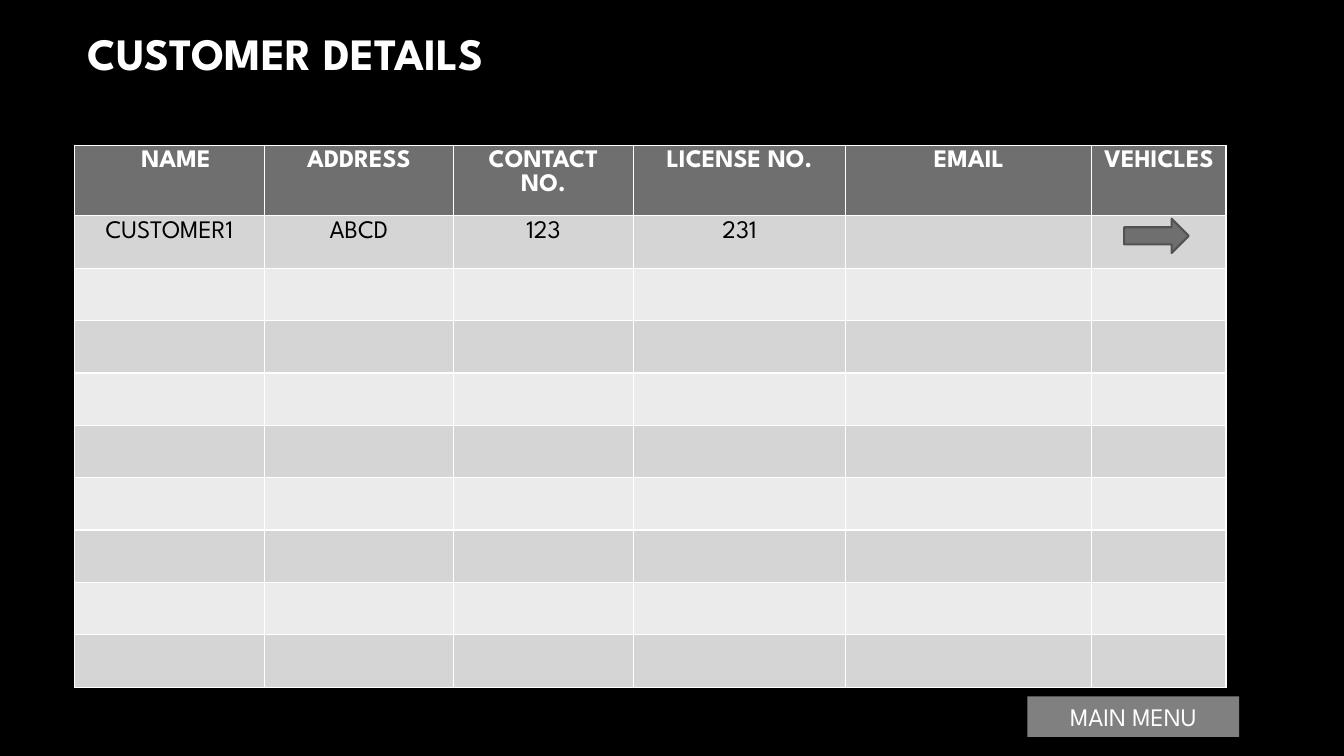
from dataclasses import dataclass

from lxml import etree
from pptx import Presentation
from pptx.dml.color import RGBColor
from pptx.enum import shapes, text
from pptx.oxml import ns
from pptx.util import Inches, Pt


@dataclass(frozen=True)
class Theme:
    font: str = "League Spartan"
    title_size: int = 32
    body_size: int = 18
    black: str = "000000"
    white: str = "FFFFFF"
    header: str = "6F6F6F"
    bands: tuple = ("D5D5D5", "EBEBEB")
    button: str = "808080"
    outline: str = "525252"


THEME = Theme()
HEADERS = ("NAME", "ADDRESS", "CONTACT NO.", "LICENSE NO.", "EMAIL", "VEHICLES")
CUSTOMERS = (("CUSTOMER1", "ABCD", "123", "231"),)
COLUMN_WIDTHS = (1.88, 1.88, 1.78, 2.11, 2.44, 1.33)
ROW_COUNT, ROW_HEIGHT = 10, 0.52


def paint(fill, color):
    fill.solid()
    fill.fore_color.rgb = RGBColor.from_string(color)


def write(tf, words, color, size=THEME.body_size, bold=False, align=text.PP_ALIGN.CENTER):
    p = tf.paragraphs[0]
    p.text = words
    p.alignment = align
    p.font.name = THEME.font
    p.font.size = Pt(size)
    p.font.bold = bold
    p.font.color.rgb = RGBColor.from_string(color)


def add_title(s, words):
    tf = s.shapes.add_textbox(Inches(0.77), Inches(0.18), Inches(5.9), Inches(0.69)).text_frame
    tf.word_wrap = True
    tf.vertical_anchor = text.MSO_ANCHOR.MIDDLE
    write(tf, words, THEME.white, THEME.title_size, True, text.PP_ALIGN.LEFT)


def add_borders(cell, color, width=Pt(1)):
    tc_pr = cell._tc.get_or_add_tcPr()
    for side in ("a:lnL", "a:lnR", "a:lnT", "a:lnB"):
        ln = etree.SubElement(tc_pr, ns.qn(side), w=str(width))
        fill = etree.SubElement(ln, ns.qn("a:solidFill"))
        etree.SubElement(fill, ns.qn("a:srgbClr"), val=color)


def add_customer_table(s):
    table = s.shapes.add_table(
        ROW_COUNT, len(HEADERS), Inches(0.74), Inches(1.44),
        Inches(sum(COLUMN_WIDTHS)), Inches(ROW_COUNT * ROW_HEIGHT)).table
    for column, width in zip(table.columns, COLUMN_WIDTHS):
        column.width = Inches(width)

    contents = (HEADERS, *CUSTOMERS)
    for i, row in enumerate(table.rows):
        row.height = Inches(ROW_HEIGHT)
        is_header = i == 0
        words = contents[i] if i < len(contents) else ()
        for j, cell in enumerate(row.cells):
            add_borders(cell, THEME.white)
            paint(cell.fill, THEME.header if is_header else THEME.bands[(i - 1) % 2])
            if j < len(words):
                write(cell.text_frame, words[j],
                      THEME.white if is_header else THEME.black, bold=is_header)
    table.cell(0, 0).margin_left = Inches(0.23)


def add_block(s, kind, left, top, width, height, color):
    sp = s.shapes.add_shape(kind, Inches(left), Inches(top), Inches(width), Inches(height))
    sp.shadow.inherit = False
    paint(sp.fill, color)
    sp.line.fill.background()
    return sp


def add_menu_button(s, words):
    button = add_block(s, shapes.MSO_SHAPE.RECTANGLE, 10.19, 6.91, 2.1, 0.4, THEME.button)
    button.text_frame.vertical_anchor = text.MSO_ANCHOR.MIDDLE
    write(button.text_frame, words, THEME.white)


def add_vehicles_arrow(s):
    arrow = add_block(s, shapes.MSO_SHAPE.RIGHT_ARROW, 11.15, 2.17, 0.64, 0.34, THEME.header)
    paint(arrow.line.fill, THEME.outline)
    arrow.line.width = Pt(1.5)


def main():
    prs = Presentation()
    prs.slide_width, prs.slide_height = Inches(13.33), Inches(7.5)
    s = prs.slides.add_slide(prs.slide_layouts[6])
    paint(s.background.fill, THEME.black)
    add_title(s, "CUSTOMER DETAILS")
    add_customer_table(s)
    add_menu_button(s, "MAIN MENU")
    add_vehicles_arrow(s)
    prs.save("out.pptx")


if __name__ == "__main__":
    main()
